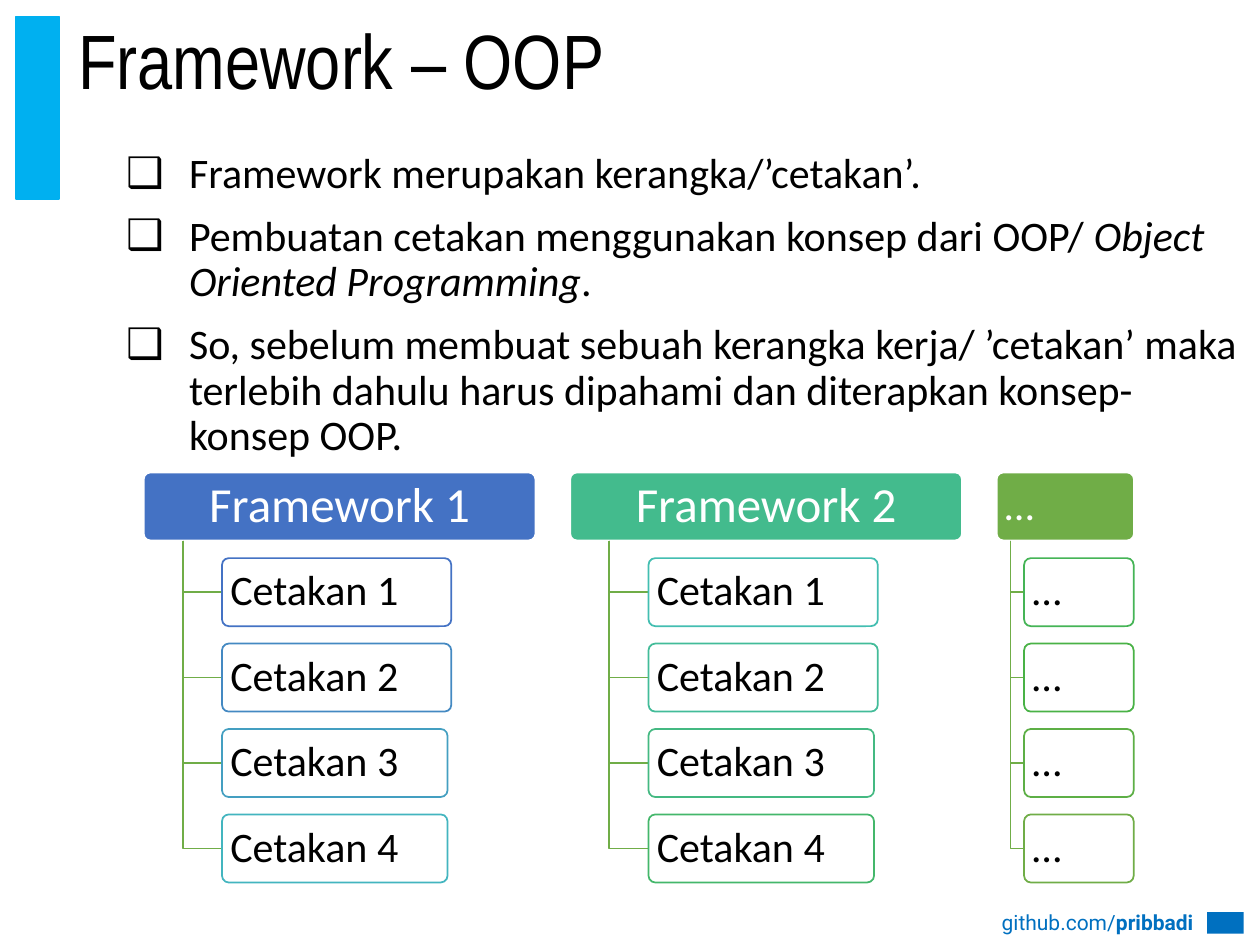
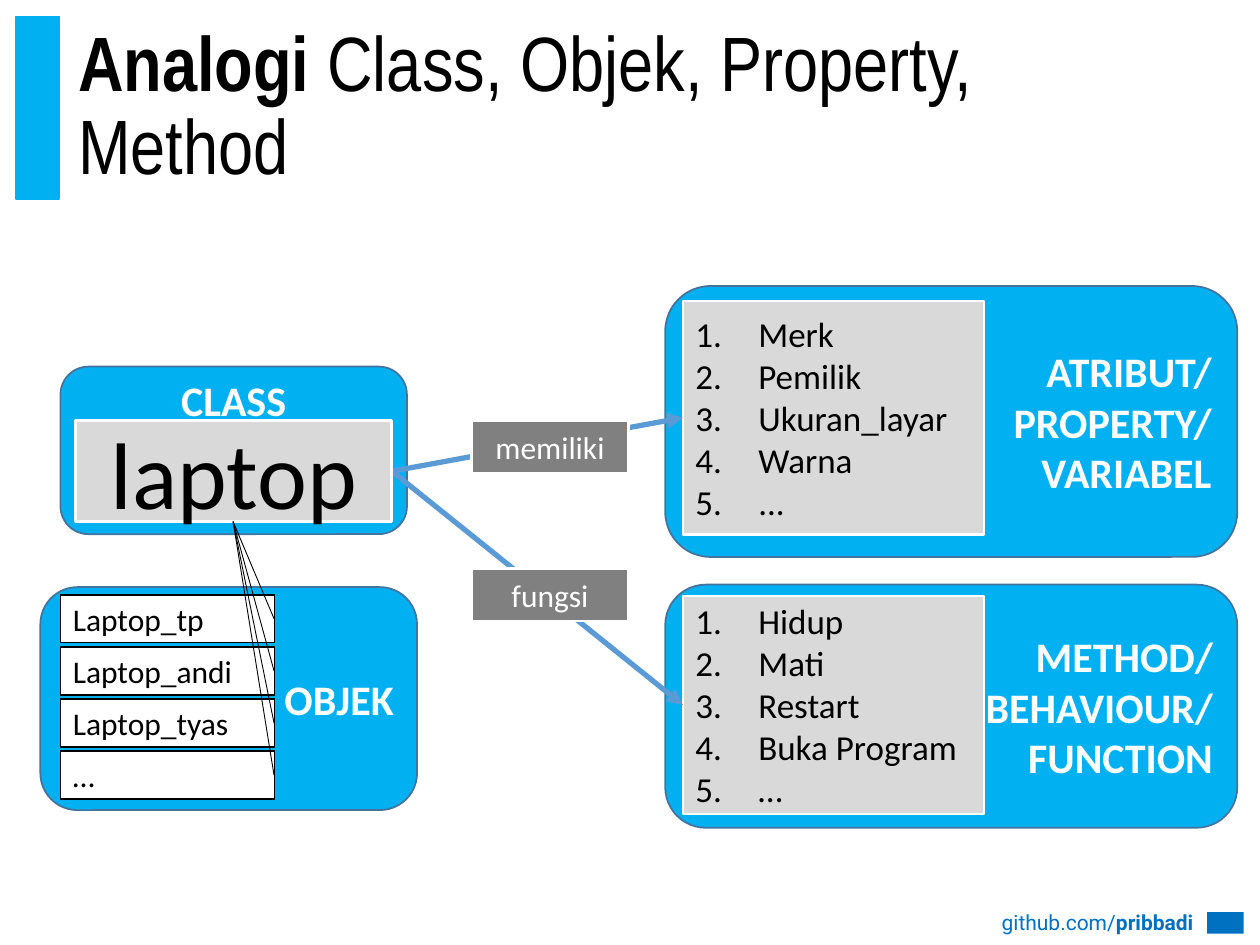
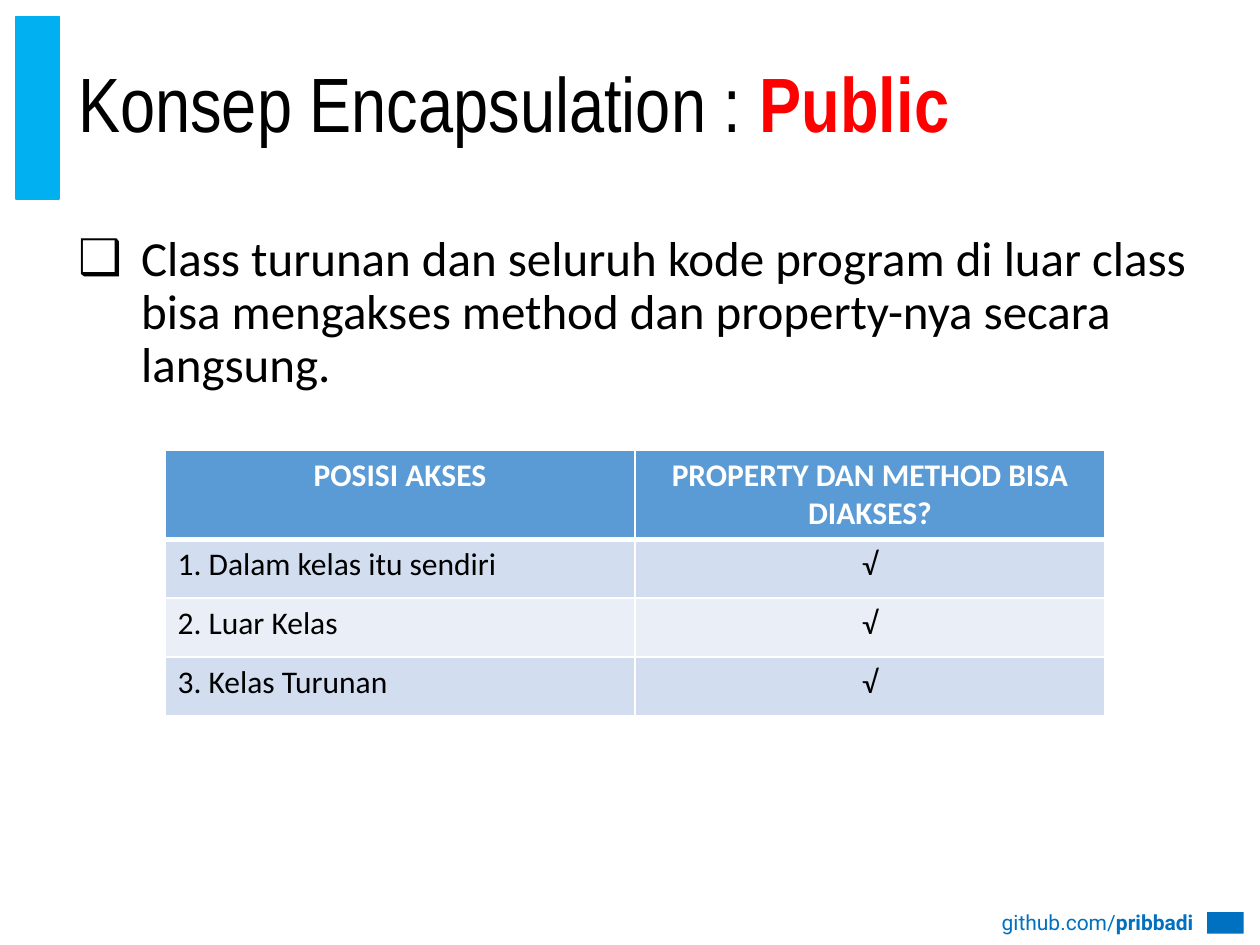
from lxml.etree import SubElement
from pptx import Presentation
from pptx.dml.color import RGBColor
from pptx.enum.shapes import MSO_CONNECTOR as Connector, MSO_SHAPE as Shape
from pptx.enum.text import MSO_ANCHOR as Anchor, MSO_AUTO_SIZE as AutoSize, PP_ALIGN as Align
from pptx.oxml.ns import qn
from pptx.util import Inches, Pt

COLUMNS, ROWS = 100, 75
WHITE = RGBColor(0xFF, 0xFF, 0xFF)
BLACK = RGBColor(0x00, 0x00, 0x00)
RED = RGBColor(0xFF, 0x00, 0x00)
SKY = RGBColor(0x00, 0xB0, 0xF0)
LINK = RGBColor(0x00, 0x70, 0xC0)
EDGE = RGBColor(0x43, 0x73, 0x9E)
STEEL = RGBColor(0x5B, 0x9B, 0xD5)
SILVER = RGBColor(0xD9, 0xD9, 0xD9)
GRAY = RGBColor(0x80, 0x80, 0x80)
BAND_DARK = RGBColor(0xD2, 0xDE, 0xEF)
BAND_LIGHT = RGBColor(0xEA, 0xEF, 0xF7)
BLUE = RGBColor(0x44, 0x72, 0xC4)
TEAL = RGBColor(0x43, 0xBB, 0x8D)
GREEN = RGBColor(0x70, 0xAD, 0x47)
BLUE_EDGES = [BLUE, RGBColor(0x44, 0x89, 0xC2), RGBColor(0x44, 0x9F, 0xC1), RGBColor(0x43, 0xB5, 0xBF)]
TEAL_EDGES = [RGBColor(0x43, 0xBE, 0xB1), RGBColor(0x43, 0xBC, 0x99),
              RGBColor(0x44, 0xB9, 0x82), RGBColor(0x44, 0xB7, 0x6B)]
GREEN_EDGES = [RGBColor(0x45, 0xB4, 0x56), RGBColor(0x49, 0xB2, 0x46), RGBColor(0x5D, 0xAF, 0x46), GREEN]

BASE_FONT = {"name": "Calibri", "size": 18, "color": BLACK, "bold": False, "italic": False}
TITLE_FONT = {"name": "Arial Narrow", "size": 44}
HEADING_FONT = {"size": 24, "color": WHITE, "bold": True}
CHECKBOX = ("a:buChar", {"char": "❑"})
NUMBER = ("a:buAutoNum", {"type": "arabicPeriod"})


def set_all(target, values):
    for name, value in values.items():
        setattr(target, name, value)


class Deck:
    def __init__(self):
        self.deck = Presentation()
        set_all(self.deck, {"slide_width": Inches(10), "slide_height": Inches(7.5)})
        self.column = self.deck.slide_width / COLUMNS
        self.row = self.deck.slide_height / ROWS
        self.layout = self.deck.slide_layouts[1]
        self.page = None

    def x(self, columns):
        return round(columns * self.column)

    def y(self, rows):
        return round(rows * self.row)

    def place(self, area):
        left, top, width, height = area
        return self.x(left), self.y(top), self.x(width), self.y(height)

    def add_page(self, title, anchor=Anchor.MIDDLE):
        self.page = self.deck.slides.add_slide(self.layout)
        self.fill_placeholder(self.page.shapes.title, (5.2, 1.3, 91, 14.5), [title],
                              TITLE_FONT, anchor=anchor)

    def fill_placeholder(self, box, area, paragraphs, font, **options):
        set_all(box, dict(zip(("left", "top", "width", "height"), self.place(area))))
        box.text_frame.auto_size = AutoSize.NONE
        self.fill_text(box.text_frame, paragraphs, font, spacing=0.9, **options)

    def body(self, area, paragraphs, size):
        self.fill_placeholder(self.page.placeholders[1], area, paragraphs, {"size": size},
                              anchor=Anchor.TOP, bullet=CHECKBOX, before=10)

    def drop_body(self):
        element = self.page.placeholders[1].element
        element.getparent().remove(element)

    def fill_text(self, frame, paragraphs, font, align=Align.LEFT, anchor=Anchor.MIDDLE,
                  margins=(0.1, 0.05, 0.1, 0.05), spacing=1.0, before=0, bullet=None):
        sides = ("margin_left", "margin_top", "margin_right", "margin_bottom")
        set_all(frame, {"word_wrap": True, "vertical_anchor": anchor})
        set_all(frame, {side: Inches(margin) for side, margin in zip(sides, margins)})
        for index, spans in enumerate(paragraphs):
            para = frame.add_paragraph() if index else frame.paragraphs[0]
            set_all(para, {"alignment": align, "line_spacing": spacing,
                           "space_before": Pt(before if index else 0), "space_after": Pt(0)})
            if bullet:
                self.bullet(para, *bullet)
            for text, changes in [(spans, {})] if isinstance(spans, str) else spans:
                span = para.add_run()
                span.text = text
                self.style(span.font, {**BASE_FONT, **font, **changes})

    def style(self, font, values):
        color = values["color"]
        set_all(font, {**{name: values[name] for name in ("name", "bold", "italic")},
                       "size": Pt(values["size"])})
        font.color.rgb = color

    def bullet(self, para, tag, attributes):
        properties = para._p.get_or_add_pPr()
        properties.set("marL", str(Inches(0.5)))
        properties.set("indent", str(-Inches(0.5)))
        SubElement(properties, qn("a:buFont"), typeface="Arial")
        SubElement(properties, qn(tag), attributes)

    def outline(self, line, color, width):
        line.color.rgb = color
        line.width = Pt(width)

    def box(self, area, fill, edge=None, width=1, kind=Shape.RECTANGLE, corner=None,
            paragraphs=(), font=None, **options):
        box = self.page.shapes.add_shape(kind, *self.place(area))
        box.shadow.inherit = False
        box.fill.solid()
        box.fill.fore_color.rgb = fill
        if edge is None:
            box.line.fill.background()
        else:
            self.outline(box.line, edge, width)
        if corner is not None:
            box.adjustments[0] = corner
        self.fill_text(box.text_frame, paragraphs, font or {}, **options)
        return box

    def elbow(self, start, end):
        (left, top), (right, bottom) = start, end
        builder = self.page.shapes.build_freeform(self.x(left), self.y(top))
        builder.add_line_segments([(self.x(left), self.y(bottom)),
                                   (self.x(right), self.y(bottom))], close=False)
        branch = builder.convert_to_shape()
        branch.shadow.inherit = False
        branch.fill.background()
        self.outline(branch.line, GREEN, 1)

    def connector(self, start, end, color, width, arrow=False):
        line = self.page.shapes.add_connector(Connector.STRAIGHT, self.x(start[0]), self.y(start[1]),
                                              self.x(end[0]), self.y(end[1]))
        self.outline(line.line, color, width)
        properties = line.element.spPr
        if arrow:
            SubElement(properties.find(qn("a:ln")), qn("a:tailEnd"), type="triangle")
        SubElement(properties, qn("a:effectLst"))

    def table(self, area, heights, rows):
        grid = self.page.shapes.add_table(len(rows), len(rows[0]), *self.place(area)).table
        for index, (height, texts) in enumerate(zip(heights, rows)):
            grid.rows[index].height = self.y(height)
            header = index == 0
            fill = STEEL if header else (BAND_LIGHT, BAND_DARK)[index % 2]
            font = {"color": WHITE, "bold": True} if header else {}
            for position, text in enumerate(texts):
                cell = grid.cell(index, position)
                cell.fill.solid()
                cell.fill.fore_color.rgb = fill
                align = Align.CENTER if header or position else Align.LEFT
                self.fill_text(cell.text_frame, [text], font, align=align)
                cell.vertical_anchor = Anchor.TOP
                self.borders(cell, top=3 if index == 1 else 1, bottom=3 if header else 1)

    def borders(self, cell, top, bottom):
        properties = cell._tc.get_or_add_tcPr()
        widths = {"a:lnL": 1, "a:lnR": 1, "a:lnT": top, "a:lnB": bottom}
        for position, (tag, width) in enumerate(widths.items()):
            line = SubElement(properties, qn(tag), w=str(Pt(width)))
            SubElement(SubElement(line, qn("a:solidFill")), qn("a:srgbClr"), val=str(WHITE))
            properties.insert(position, line)

    def share(self, boxes):
        for number, box in enumerate(boxes, start=100):
            box.element.nvSpPr.cNvPr.set("id", str(number))
            self.layout.shapes.element.append(box.element)

    def add_shared_parts(self):
        address = [("github.com/", {}), ("pribbadi", {"bold": True})]
        self.share([
            self.box((79, 71.5, 16.7, 3.3), WHITE, paragraphs=[address],
                     font={"name": "Roboto", "size": 12, "color": LINK},
                     align=Align.RIGHT, margins=(0, 0.05, 0.1, 0.05)),
            self.box((95.8, 72.4, 2.9, 1.7), LINK),
            self.box((1.3, 1.3, 3.4, 14.5), SKY, SKY),
        ])

    def framework(self, left, width, name, fill, parts, part_widths, edges, header_format):
        top, height, pitch = 37.5, 5.4, 6.78
        self.box((left, top, width, height), fill, WHITE, kind=Shape.ROUNDED_RECTANGLE, corner=0.1,
                 paragraphs=[name], spacing=0.9, **header_format)
        trunk, part_left = left + width * 0.1, left + width * 0.2
        for index, (part, part_width, edge) in enumerate(zip(parts, part_widths, edges)):
            part_top = 44.3 + index * pitch
            self.elbow((trunk, top + height), (part_left, part_top + height / 2))
            self.box((part_left, part_top, part_width, height), WHITE, edge,
                     kind=Shape.ROUNDED_RECTANGLE, corner=0.1, paragraphs=[part],
                     font={"size": 24}, spacing=0.9, margins=(0.05, 0.03, 0.05, 0.03))

    def group_panel(self, area, lines, **options):
        self.box(area, SKY, EDGE, kind=Shape.ROUNDED_RECTANGLE, paragraphs=lines,
                 font=HEADING_FONT, **options)


def framework_page(deck):
    deck.add_page("Framework – OOP", anchor=Anchor.TOP)
    deck.add_shared_parts()
    deck.body((9, 11.6, 91, 25.9), [
        "Framework merupakan kerangka/’cetakan’.",
        [("Pembuatan cetakan menggunakan konsep dari OOP/ ", {}),
         ("Object Oriented Programming", {"italic": True}), (".", {})],
        "So, sebelum membuat sebuah kerangka kerja/ ’cetakan’ maka terlebih dahulu harus "
        "dipahami dan diterapkan konsep-konsep OOP.",
    ], 24)
    parts = [f"Cetakan {number}" for number in range(1, 5)]
    part_widths = [18.2, 18.2, 17.9, 17.9]
    wide = {"font": {"size": 28, "color": WHITE}, "align": Align.CENTER,
            "margins": (0.06, 0.04, 0.06, 0.04)}
    narrow = {"font": {"size": 24, "color": WHITE}, "margins": (0.05, 0.03, 0.05, 0.03)}
    frameworks = [
        (31.1, "Framework 1", BLUE, parts, part_widths, BLUE_EDGES, wide),
        (31.1, "Framework 2", TEAL, parts, part_widths, TEAL_EDGES, wide),
        (10.9, "…", GREEN, ["…"] * 4, [8.7] * 4, GREEN_EDGES, narrow),
    ]
    for index, framework in enumerate(frameworks):
        deck.framework(11.4 + index * 33.85, *framework)


def analogy_page(deck):
    deck.add_page([("Analogi ", {"bold": True}), ("Class, Objek, Property, Method", {})])
    deck.drop_body()
    deck.group_panel((3.2, 46.6, 29.9, 17.7), ["OBJEK"], align=Align.RIGHT)
    deck.group_panel((52.8, 46.4, 45.4, 19.3), ["METHOD/", "BEHAVIOUR/", "FUNCTION"], align=Align.RIGHT)
    deck.group_panel((52.8, 22.7, 45.4, 21.5), ["ATRIBUT/", "PROPERTY/", "VARIABEL"], align=Align.RIGHT)
    deck.group_panel((4.8, 29.1, 27.5, 13.3), ["CLASS"], align=Align.CENTER, anchor=Anchor.TOP,
                     margins=(0.1, 0, 0.1, 0))
    members = [
        (23.9, 18.5, ["Merk", "Pemilik", "Ukuran_layar", "Warna", "..."]),
        (47.3, 17.3, ["Hidup", "Mati", "Restart", "Buka Program", "…"]),
    ]
    for top, height, names in members:
        deck.box((54.2, top, 23.9, height), SILVER, WHITE, 1.5, paragraphs=names,
                 font={"size": 20}, bullet=NUMBER)
        deck.connector((31.1, 37.4), (54.2, top + height / 2), STEEL, 3, arrow=True)
    for top, relation in [(33.4, "memiliki"), (45.1, "fungsi")]:
        deck.box((37.4, top, 12.5, 4.2), GRAY, WHITE, 1.5, paragraphs=[relation],
                 font={"color": WHITE}, align=Align.CENTER)
    deck.box((6, 33.4, 25.1, 8), SILVER, WHITE, 1.5, paragraphs=["laptop"],
             font={"size": 54}, align=Align.CENTER)
    objects = ["Laptop_tp", "Laptop_andi", "Laptop_tyas", "…"]
    tops = [47.2 + index * 4.14 for index in range(len(objects))]
    for top, name in zip(tops, objects):
        deck.box((4.8, top, 17, 3.8), WHITE, BLACK, paragraphs=[name])
    for top in tops:
        deck.connector((18.5, 41.4), (21.75, top + 1.9), BLACK, 0.5)


def public_page(deck):
    deck.add_page([("Konsep Encapsulation : ", {}), ("Public", {"color": RED, "bold": True})])
    deck.body((5.2, 18.1, 91, 53.1), [
        "Class turunan dan seluruh kode program di luar class bisa mengakses method dan "
        "property-nya secara langsung.",
    ], 28)
    deck.table((13.1, 35.7, 74.6, 21), [7.1, 4.67, 4.67, 4.67], [
        ("POSISI AKSES", "PROPERTY DAN METHOD BISA DIAKSES?"),
        ("1. Dalam kelas itu sendiri", "√"),
        ("2. Luar Kelas", "√"),
        ("3. Kelas Turunan", "√"),
    ])


def main():
    deck = Deck()
    framework_page(deck)
    analogy_page(deck)
    public_page(deck)
    deck.deck.save("out.pptx")


if __name__ == "__main__":
    main()
